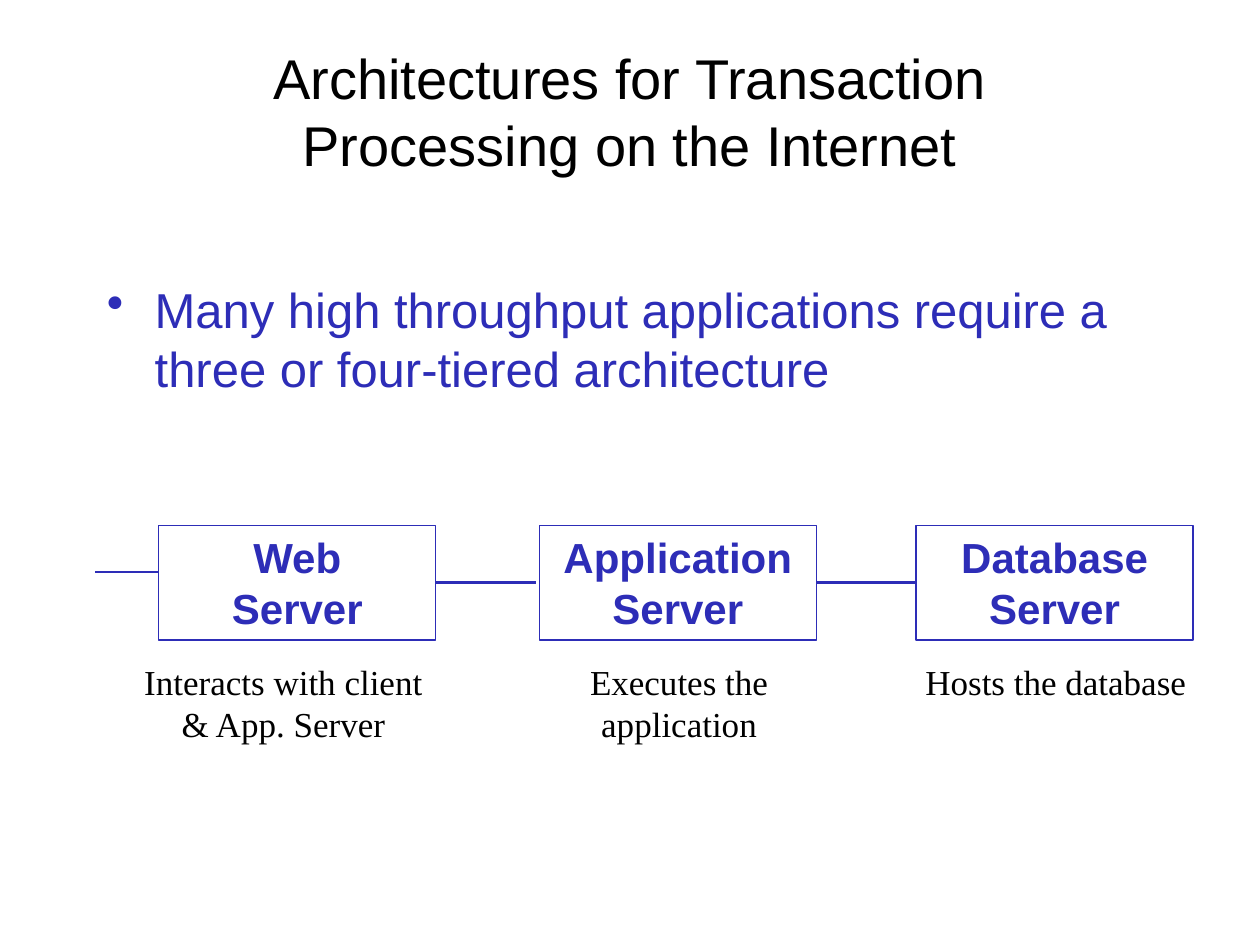
from dataclasses import dataclass
from typing import Optional

from lxml.etree import SubElement
from pptx import Presentation
from pptx.dml.color import RGBColor
from pptx.enum.shapes import MSO_CONNECTOR as Link, MSO_SHAPE as Form
from pptx.enum.text import MSO_ANCHOR as Anchor, PP_ALIGN as Align
from pptx.oxml.ns import qn
from pptx.util import Inches, Pt


@dataclass(frozen=True)
class Style:
    size: float
    font: str
    color: RGBColor
    bold: bool = False


@dataclass(frozen=True)
class Theme:
    blue: RGBColor = RGBColor(0x2D, 0x2D, 0xB7)
    black: RGBColor = RGBColor(0, 0, 0)
    border: float = 0.75
    wire: float = 1.5

    @property
    def title(self) -> Style:
        return Style(32, "Arial", self.black)

    @property
    def body(self) -> Style:
        return Style(28, "Arial", self.blue)

    @property
    def label(self) -> Style:
        return Style(24, "Arial", self.blue, True)

    @property
    def note(self) -> Style:
        return Style(20, "Times New Roman", self.black)


@dataclass(frozen=True)
class Tier:
    name: str
    left: float
    note: str
    note_left: float
    note_high: float = 0.77


THEME = Theme()
TOP, WIDE, HIGH = 4.17, 2.2, 0.91
MID = TOP + HIGH / 2
TIERS = [
    Tier("Web", 1.26, "Interacts with client & App. Server", 1),
    Tier("Application", 4.28, "Executes the application", 4.14),
    Tier("Database", 7.27, "Hosts the database", 7.13, 0.44),
]


def add_run(para, text: str, style: Style) -> None:
    run = para.add_run()
    run.text = text
    font = run.font
    font.size, font.name, font.bold = Pt(style.size), style.font, style.bold
    font.color.rgb = style.color


def add_text(slide, left: float, top: float, wide: float, high: float,
             text: str, style: Style, align=Align.CENTER, anchor=Anchor.TOP):
    box = slide.shapes.add_textbox(Inches(left), Inches(top), Inches(wide), Inches(high))
    frame = box.text_frame
    frame.word_wrap, frame.vertical_anchor = True, anchor
    para = frame.paragraphs[0]
    para.alignment = align
    for row, line in enumerate(text.split("\n")):
        if row:
            para.add_line_break()
        add_run(para, line, style)
    return para


def add_bullet(para, indent: float) -> None:
    props = para._p.get_or_add_pPr()
    props.set("marL", str(Inches(indent)))
    props.set("indent", str(-Inches(indent)))
    SubElement(props, qn("a:buChar"), char="•")


def add_tier(slide, tier: Tier):
    box = slide.shapes.add_shape(
        Form.RECTANGLE, Inches(tier.left), Inches(TOP), Inches(WIDE), Inches(HIGH))
    box.shadow.inherit = False
    box.fill.background()
    box.line.color.rgb, box.line.width = THEME.blue, Pt(THEME.border)
    frame = box.text_frame
    frame.word_wrap, frame.vertical_anchor = True, Anchor.TOP
    for para, word in zip((frame.paragraphs[0], frame.add_paragraph()),
                          (tier.name, "Server")):
        para.alignment = Align.CENTER
        add_run(para, word, THEME.label)
    add_text(slide, tier.note_left, 5.19, 2.5, tier.note_high, tier.note, THEME.note)
    return box


def add_wire(slide, start: float, end: float, y: float,
             head: Optional[object] = None, tail: Optional[object] = None) -> None:
    wire = slide.shapes.add_connector(
        Link.STRAIGHT, Inches(start), Inches(y), Inches(end), Inches(y))
    wire.line.color.rgb, wire.line.width = THEME.blue, Pt(THEME.wire)
    SubElement(wire._element.spPr, qn("a:effectLst"))
    if head is not None:
        wire.begin_connect(head, 1)
    if tail is not None:
        wire.end_connect(tail, 3)


def main() -> None:
    deck = Presentation()
    deck.slide_width, deck.slide_height = Inches(10), Inches(7.5)
    slide = deck.slides.add_slide(deck.slide_layouts[6])

    # Title and bullet
    add_text(slide, 0.75, 0.25, 8.5, 1.25,
             "Architectures for Transaction\nProcessing on the Internet",
             THEME.title, anchor=Anchor.MIDDLE)
    point = add_text(slide, 0.75, 2.17, 8.5, 1.04,
                     "Many high throughput applications require a "
                     "three or four-tiered architecture", THEME.body, Align.LEFT)
    point.space_before = Pt(3.6)
    add_bullet(point, 0.38)

    # Server tiers with their notes
    web, app, data = [add_tier(slide, tier) for tier in TIERS]

    # Wires: from the client, then between tiers
    first, second, third = [tier.left for tier in TIERS]
    add_wire(slide, first, 0.75, 4.54)
    add_wire(slide, second - 0.03, first + WIDE, MID, tail=web)
    add_wire(slide, third, second + WIDE, MID, head=data, tail=app)

    deck.save("out.pptx")


if __name__ == "__main__":
    main()
